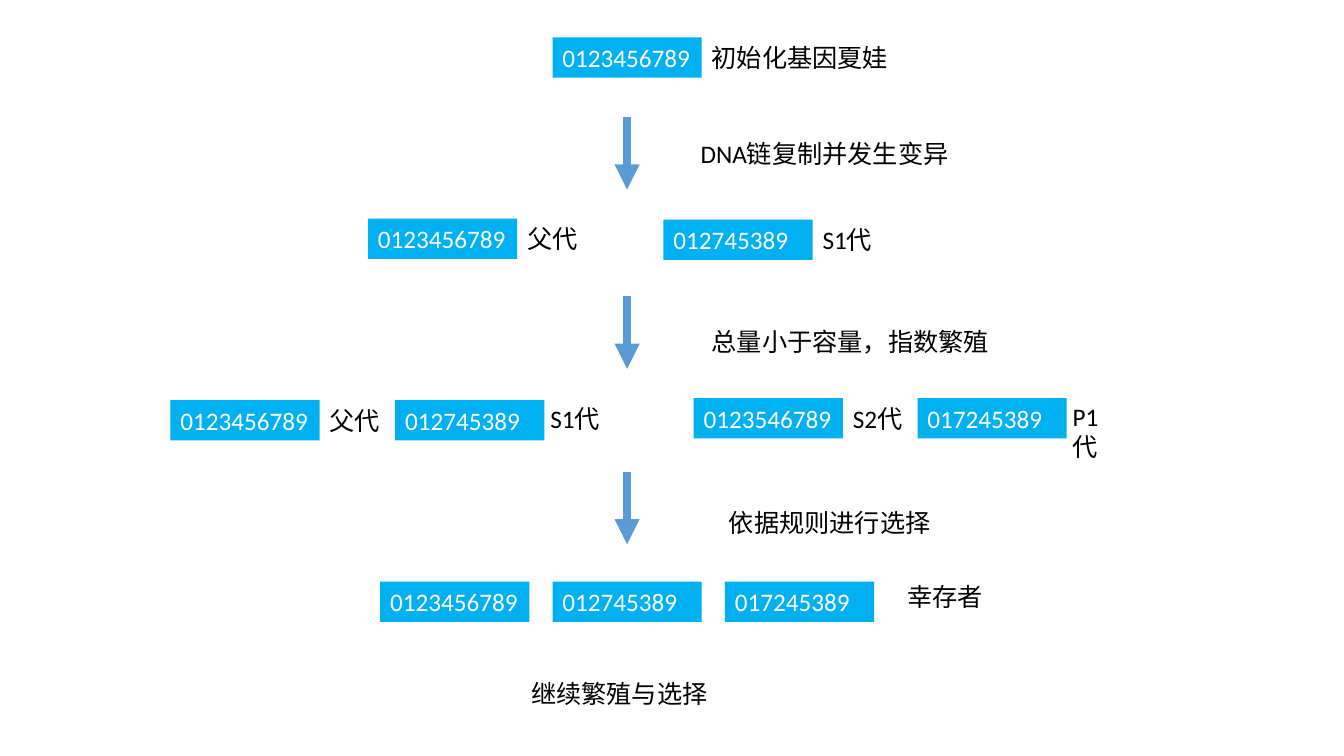
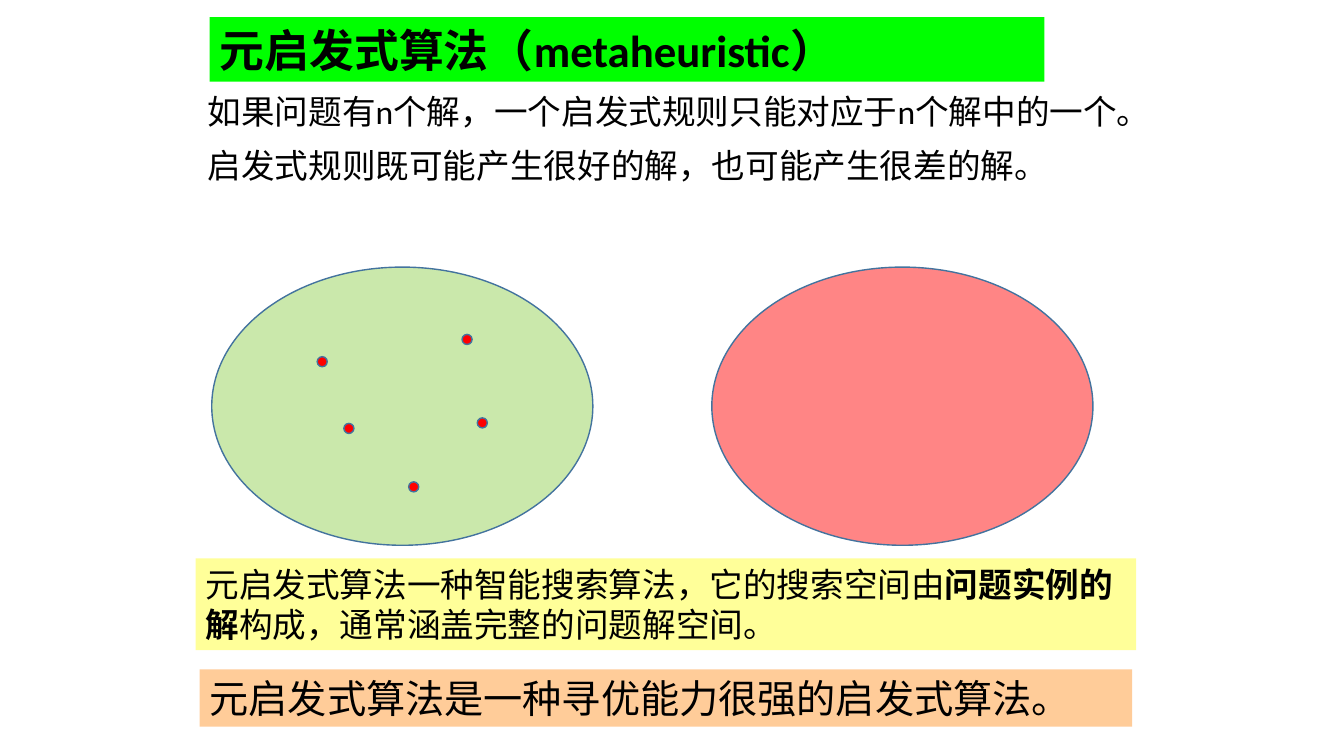
from lxml import etree
from pptx import Presentation
from pptx import util as u
from pptx.dml import color
from pptx.enum import shapes, text
from pptx.oxml import ns

FONT = "Calibri"
BLACK, WHITE, RED = "000000", "FFFFFF", "FF0000"
CODE, ARROW, EDGE = "00B0F0", "5B9BD5", "43739E"
LIME, PEACH, LEMON, GREEN = "00FF00", "FFCC99", "FFFF99", "92D050"
RECT, OVAL = shapes.MSO_SHAPE.RECTANGLE, shapes.MSO_SHAPE.OVAL
BLOCK_W, ROW_H, ARROW_H = 1.48, 0.4, 0.72


def rgb(code):
    return color.RGBColor.from_string(code)


def inches(*nums):
    return [u.Inches(n) for n in nums]


def sub(node, tag, **attrs):
    return etree.SubElement(node, ns.qn(tag), attrs)


def write(shape, *paras, size=18, ink=BLACK, bold=False, before=0, mid=False):
    """Fill a shape with paragraphs; a tuple alternates plain and bold runs."""
    frame = shape.text_frame
    frame.word_wrap = True
    frame.auto_size = text.MSO_AUTO_SIZE.NONE
    anchors = text.MSO_ANCHOR
    frame.vertical_anchor = anchors.MIDDLE if mid else anchors.TOP
    for i, runs in enumerate(paras):
        para = frame.add_paragraph() if i else frame.paragraphs[0]
        para.alignment = text.PP_ALIGN.LEFT
        para.space_before = u.Pt(before if i else 0)
        for j, words in enumerate((runs,) if isinstance(runs, str) else runs):
            run = para.add_run()
            run.text = words
            font = run.font
            font.name, font.size = FONT, u.Pt(size)
            font.bold = bold or j % 2 == 1
            font.color.rgb = rgb(ink)
    return shape


def label(slide, box, words, **style):
    return write(slide.shapes.add_textbox(*inches(*box)), words, **style)


def form(slide, kind, box, fill, line=None, alpha=None):
    shape = slide.shapes.add_shape(kind, *inches(*box))
    shape.shadow.inherit = False
    shape.fill.solid()
    shape.fill.fore_color.rgb = rgb(fill)
    if alpha:
        tone = shape.fill._xPr.find(".//" + ns.qn("a:srgbClr"))
        sub(tone, "a:alpha", val=str(alpha * 1000))
    if line:
        shape.line.color.rgb = rgb(line)
        shape.line.width = u.Pt(1)
    else:
        shape.line.fill.background()
    return shape


def band(slide, box, fill, words, **style):
    return write(form(slide, RECT, box, fill), words, mid=True, **style)


def place(holder, box):
    holder.left, holder.top, holder.width, holder.height = inches(*box)
    return holder


def arrow(slide, x, y):
    link = slide.shapes.add_connector(
        shapes.MSO_CONNECTOR.STRAIGHT, *inches(x, y, x, y + ARROW_H))
    link.line.color.rgb = rgb(ARROW)
    link.line.width = u.Pt(6)
    sub(link.line._get_or_add_ln(), "a:tailEnd", type="triangle")
    sub(link._element.spPr, "a:effectLst")


def gene(slide, x, y, code, name="", wide=0.7, dx=0, dy=0):
    """Draw one gene string, with its name to the right."""
    band(slide, (x, y, BLOCK_W, ROW_H), CODE, code, ink=WHITE)
    if name:
        label(slide, (x + BLOCK_W + dx, y + dy, wide, ROW_H), name)


def cloud(slide, box, fill, dots=()):
    """Draw a solution space; dots are shares of its box."""
    x, y, w, h = box
    form(slide, OVAL, box, fill, EDGE, 48)
    d = 0.1
    for px, py in dots:
        spot = (x + px * w - d / 2, y + py * h - d / 2, d, d)
        form(slide, OVAL, spot, RED, EDGE)


def flow_slide(deck):
    slide = deck.slides.add_slide(deck.slide_layouts[6])
    eve, son, swap, late = "0123456789", "012745389", "0123546789", "017245389"
    near = {"dx": -0.04, "dy": -0.02}
    gene(slide, 5.48, 0.37, eve, "初始化基因夏娃", wide=1.97)
    gene(slide, 3.65, 2.17, eve, "父代")
    gene(slide, 6.58, 2.18, son, "S1代")
    gene(slide, 1.69, 3.97, eve, "父代")
    gene(slide, 3.92, 3.97, son, "S1代", **near)
    gene(slide, 6.88, 3.95, swap, "S2代")
    gene(slide, 9.1, 3.95, late, "P1代", **near)
    for i, code in enumerate((eve, son, late)):
        gene(slide, 3.77 + 1.71 * i, 5.77, code)
    for y in (1.16, 2.94, 4.68):
        arrow(slide, 6.22, y)
    for x, y, wide, words in (
            (6.85, 1.32, 2.69, "DNA链复制并发生变异"),
            (6.96, 3.19, 2.98, "总量小于容量，指数繁殖"),
            (7.13, 4.98, 2.22, "依据规则进行选择"),
            (8.9, 5.72, 0.96, "幸存者"),
            (5.17, 6.68, 1.97, "继续繁殖与选择")):
        label(slide, (x, y, wide, ROW_H), words)


def idea_slide(deck):
    slide = deck.slides.add_slide(deck.slide_layouts[1])
    title = place(slide.shapes.title, (2.08, 0.17, 8.28, 0.64))
    title.fill.solid()
    title.fill.fore_color.rgb = rgb(LIME)
    write(title, "元启发式算法（metaheuristic）", size=32, bold=True, mid=True)

    body = place(slide.placeholders[1], (1.96, 0.85, 9.27, 1.5))
    write(body, "如果问题有n个解，一个启发式规则只能对应于n个解中的一个。",
          "启发式规则既可能产生很好的解，也可能产生很差的解。",
          size=24, before=10)
    for para in body.text_frame.paragraphs:
        props = para._p.get_or_add_pPr()
        props.set("marL", "0")
        props.set("indent", "0")
        sub(props, "a:buNone")

    cloud(slide, (2.1, 2.65, 3.78, 2.76), GREEN,
          ((0.29, 0.34), (0.67, 0.26), (0.36, 0.58), (0.53, 0.79),
           (0.71, 0.56)))
    cloud(slide, (7.06, 2.65, 3.78, 2.76), RED)
    band(slide, (1.94, 5.54, 9.33, 0.91), LEMON,
         ("元启发式算法一种智能搜索算法，它的搜索空间由", "问题实例的解",
          "构成，通常涵盖完整的问题解空间。"), size=24)
    band(slide, (1.98, 6.64, 9.25, 0.57), PEACH,
         "元启发式算法是一种寻优能力很强的启发式算法。", size=28)


def main():
    deck = Presentation()
    deck.slide_width, deck.slide_height = inches(13.33, 7.5)
    flow_slide(deck)
    idea_slide(deck)
    deck.save("out.pptx")


if __name__ == "__main__":
    main()
